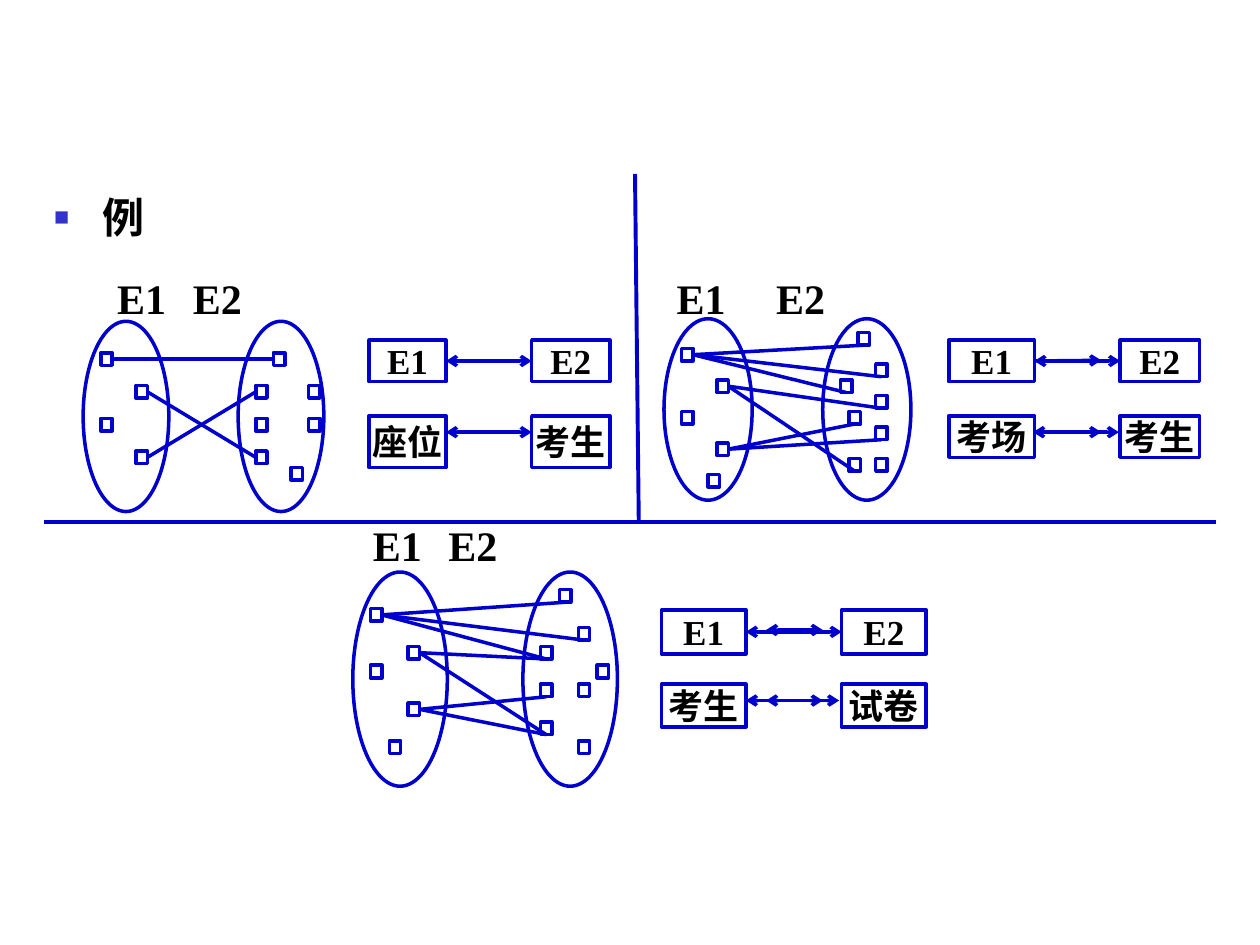
from dataclasses import dataclass
from lxml import etree
from pptx import Presentation
from pptx import util as u
from pptx.dml.color import RGBColor
from pptx.enum import shapes, text
from pptx.oxml.ns import qn

COLORS = {"line": "0000CC", "text": "000000", "bullet": "3333CC"}
LABEL = {"size": u.Pt(24), "name": "Times New Roman", "bold": True}
BOX = {**LABEL, "size": u.Pt(20)}
BODY = {**LABEL, "name": "Roboto"}
ENDS = {"<": "headEnd", ">": "tailEnd"}
RECT, OVAL = shapes.MSO_SHAPE.RECTANGLE, shapes.MSO_SHAPE.OVAL
LEFT, BOTTOM, RIGHT = 1, 2, 3
ARROW_DROPS = (0.16, 0.13)
SET_MARGIN = 0.14
TOLERANCE = 0.03


@dataclass
class Panel:
    """A mapping diagram: members are placed by a map of marks, links pair the marks."""
    label: tuple
    indent: float
    tab: float
    columns: tuple
    top: float
    step: tuple
    rows: list
    links: str
    link_end: int
    set_top: float
    set_size: tuple
    words: list
    box_lefts: tuple
    box_widths: tuple
    box_tops: tuple
    box_heights: tuple
    arrows: dict


PANELS = [
    Panel(label=(0.53, 2.17, 2.11), indent=0.4, tab=1.53,
          columns=(0.8, 2.03), top=2.8, step=(0.14, 0.13),
          rows=["a..|.p", "", "..b|q..o", "", "o..|o..o", "", "..c|r", "...|..o"],
          links="ap br cq", link_end=LEFT,
          set_top=2.55, set_size=(0.68, 1.51),
          words=["E1 E2", "座位 考生"], box_lefts=(2.93, 4.22), box_widths=(0.61, 0.62),
          box_tops=(2.7, 3.3), box_heights=(0.33, 0.41), arrows={"<>": (3.54, 4.22)}),
    Panel(label=(5.16, 2.17, 2.05), indent=0.21, tab=1.44,
          columns=(5.41, 6.67), top=2.64, step=(0.07, 0.125),
          rows=["|..p", "a|", "|....q", "....b|r", "|....s", "o|.t", "|....u", "....c|",
                "|.v..o", "...o|"],
          links="ap aq ar bs bv ct cu", link_end=BOTTOM,
          set_top=2.53, set_size=(0.7, 1.44),
          words=["E1 E2", "考场 考生"], box_lefts=(7.53, 8.89), box_widths=(0.68, 0.63),
          box_tops=(2.7, 3.3), box_heights=(0.33, 0.33),
          arrows={"<>": (8.2, 8.88), ">": (8.2, 8.74)}),
    Panel(label=(2.56, 4.13, 2.6), indent=0.4, tab=1.69,
          columns=(2.94, 4.29), top=4.68, step=(0.15, 0.15),
          rows=["|.p", "a|", "|..q", "..b|r", "o|...o", "|s.o", "..c|", "|t", ".o|..o"],
          links="ap aq ar br bt cs ct", link_end=BOTTOM,
          set_top=4.54, set_size=(0.75, 1.7),
          words=["E1 E2", "考生 试卷"], box_lefts=(5.25, 6.68), box_widths=(0.67, 0.67),
          box_tops=(4.84, 5.43), box_heights=(0.35, 0.34),
          arrows={"<>": (5.92, 6.66), "><": (6.08, 6.53)}),
]


def inches(values) -> list:
    """Convert numbers to lengths."""
    return [u.Inches(v) for v in values]


def apply(target, values: dict) -> None:
    """Set every attribute named in a dict."""
    for name, value in values.items():
        setattr(target, name, value)


def add_xml(parent, tag: str, **attrs):
    """Append a DrawingML element."""
    return etree.SubElement(parent, qn(f"a:{tag}"), attrs)


def style_line(line, width: float = 2) -> None:
    """Give a line its colour and width."""
    line.color.rgb = RGBColor.from_string(COLORS["line"])
    line.width = u.Pt(width)


def style_font(p, values: dict) -> None:
    """Format each run of a paragraph."""
    for r in p.runs:
        apply(r.font, values)
        r.font.color.rgb = RGBColor.from_string(COLORS["text"])


def flat_frame(tf) -> None:
    """Remove insets and centre text vertically."""
    apply(tf, {"margin_left": 0, "margin_right": 0, "margin_top": 0, "margin_bottom": 0,
               "vertical_anchor": text.MSO_ANCHOR.MIDDLE, "word_wrap": True})


def outline(s, kind, box, wording: str = ""):
    """Draw an unfilled shape, with centred wording if any."""
    sp = s.shapes.add_shape(kind, *inches(box))
    sp.shadow.inherit = False
    sp.fill.background()
    style_line(sp.line)
    if wording:
        flat_frame(sp.text_frame)
        p = sp.text_frame.paragraphs[0]
        p.text, p.alignment = wording, text.PP_ALIGN.CENTER
        style_font(p, BOX)
    return sp


def connect(s, ends=(0, 0, 0, 0), arrows: str = "", width: float = 2):
    """Draw a straight line with arrowheads."""
    cn = s.shapes.add_connector(shapes.MSO_CONNECTOR.STRAIGHT, *inches(ends))
    style_line(cn.line, width)
    for mark in sorted(arrows):
        add_xml(cn.line._get_or_add_ln(), ENDS[mark], type="arrow")
    add_xml(cn._element.spPr, "effectLst")
    return cn


def touches(sp, side: int, x: float, y: float) -> bool:
    """Tell whether a point is the middle of a left or right side."""
    edge = sp.left + (sp.width if side == RIGHT else 0)
    gaps = edge - u.Inches(x), sp.top + sp.height / 2 - u.Inches(y)
    return max(map(abs, gaps)) < u.Inches(TOLERANCE)


def set_labels(s, panel: Panel) -> None:
    """Write the two set names on one tabbed line."""
    tf = s.shapes.add_textbox(*inches((*panel.label, 0.39))).text_frame
    flat_frame(tf)
    p = tf.paragraphs[0]
    p.text = "E1\tE2"
    pPr = p._p.get_or_add_pPr()
    pPr.set("indent", str(u.Inches(panel.indent)))
    add_xml(add_xml(pPr, "tabLst"), "tab", pos=str(u.Inches(panel.tab)), algn="l")
    style_font(p, LABEL)


def draw_sets(s, panel: Panel) -> None:
    """Draw the two sets, their members and the links."""
    for x in panel.columns:
        outline(s, OVAL, (x - SET_MARGIN, panel.set_top, *panel.set_size))
    dx, dy = panel.step
    members = {}
    for i, row in enumerate(panel.rows):
        for x, marks in zip(panel.columns, row.split("|")):
            for j, mark in enumerate(marks):
                if mark != ".":
                    box = (x + j * dx, panel.top + i * dy, 0.09, 0.1)
                    members[mark] = outline(s, RECT, box)
    for start, end in panel.links.split():
        cn = connect(s)
        cn.begin_connect(members[start], RIGHT)
        cn.end_connect(members[end], panel.link_end)


def draw_boxes(s, panel: Panel) -> None:
    """Draw the entity boxes and the arrows between them."""
    for words, top, height, drop in zip(panel.words, panel.box_tops, panel.box_heights, ARROW_DROPS):
        first, second = [outline(s, RECT, (x, top, width, height), word) for word, x, width
                         in zip(words.split(), panel.box_lefts, panel.box_widths)]
        y = top + drop
        for arrows, (x1, x2) in panel.arrows.items():
            cn = connect(s, (x1, y, x2, y), arrows)
            if touches(first, RIGHT, x1, y):
                cn.begin_connect(first, RIGHT)
            if touches(second, LEFT, x2, y):
                cn.end_connect(second, LEFT)


def fill_body(body) -> None:
    """Write the bulleted heading."""
    apply(body, dict(zip(("left", "top", "width", "height"), inches((0.33, 1.47, 4.58, 0.94)))))
    p = body.text_frame.paragraphs[0]
    p.text, p.space_before = "例", 0
    pPr = p._p.get_or_add_pPr()
    pPr.set("marL", str(u.Inches(0.38)))
    pPr.set("indent", str(u.Inches(-0.38)))
    add_xml(add_xml(pPr, "buClr"), "srgbClr", val=COLORS["bullet"])
    add_xml(pPr, "buSzPct", val="60000")
    add_xml(pPr, "buChar", char="■")
    style_font(p, BODY)


def main() -> None:
    """Build and save the slide."""
    prs = Presentation()
    prs.slide_width, prs.slide_height = inches((10, 7.5))
    s = prs.slides.add_slide(prs.slide_layouts[1])
    title = s.shapes.title._element
    title.getparent().remove(title)
    fill_body(s.placeholders[1])
    for panel in PANELS:
        set_labels(s, panel)
        draw_sets(s, panel)
        draw_boxes(s, panel)
    for ends in ((0.35, 4.14, 9.65, 4.14), (5.07, 4.15, 5.04, 1.38)):
        connect(s, ends, width=2.25)
    prs.save("out.pptx")


if __name__ == "__main__":
    main()
